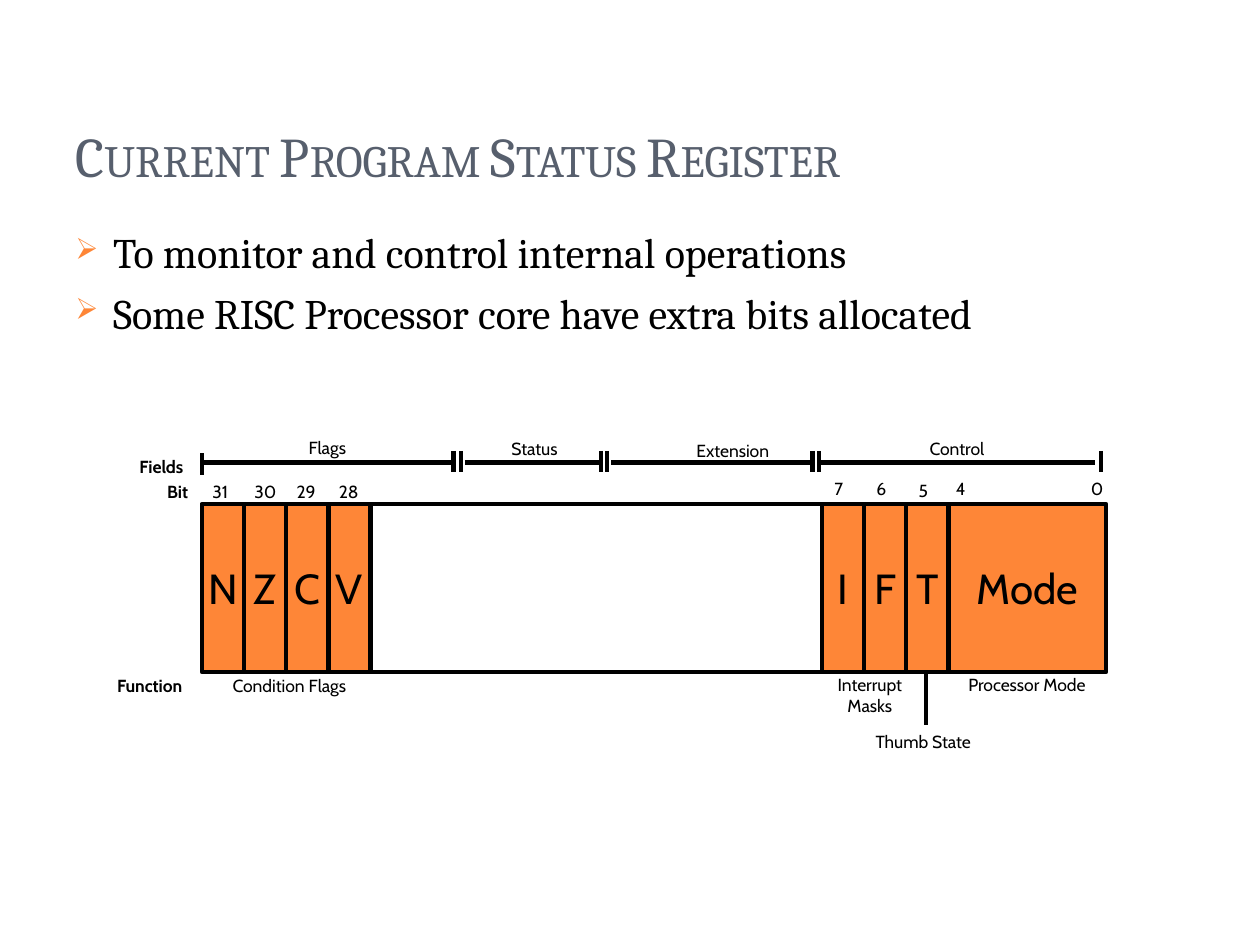
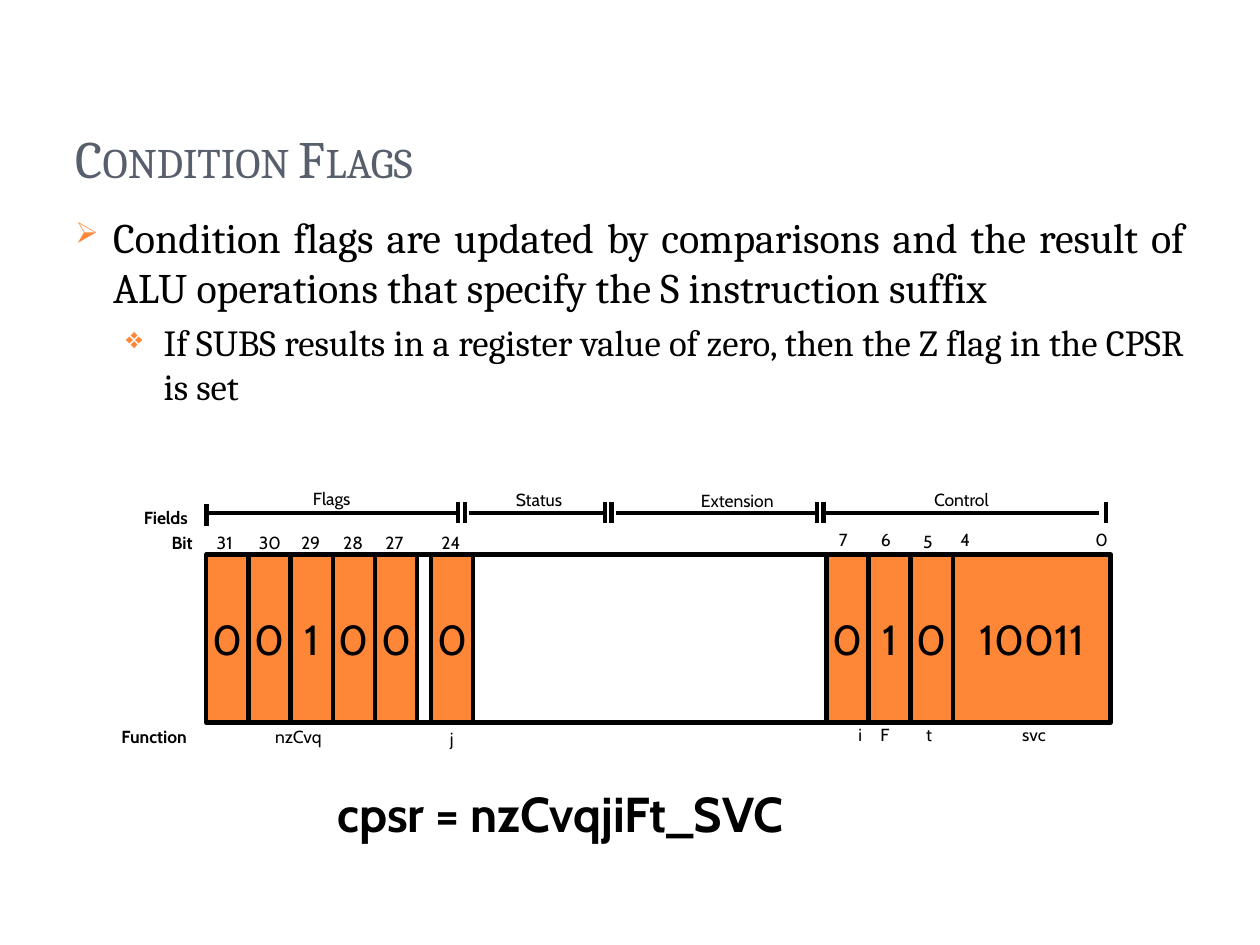
from lxml.etree import SubElement
from pptx import Presentation
from pptx.dml.color import RGBColor
from pptx.enum.shapes import MSO_CONNECTOR, MSO_SHAPE
from pptx.enum.text import MSO_ANCHOR, PP_ALIGN
from pptx.oxml.ns import qn
from pptx.util import Cm, Pt

ORANGE, SLATE, BLACK = "FE8637", "575F6D", "000000"
SERIF, SANS = "Cambria", "Cabin"
LEFT, CENTER, JUSTIFY = PP_ALIGN.LEFT, PP_ALIGN.CENTER, PP_ALIGN.JUSTIFY

# Register geometry in cm, measured from its top left corner
CELL, HEIGHT, MODE_WIDTH = 0.85, 3.39, 3.18
RESERVED_LEFT, CONTROL_LEFT = 4 * CELL, 12.5
RESERVED_WIDTH = CONTROL_LEFT - RESERVED_LEFT
MODE_LEFT = CONTROL_LEFT + 3 * CELL
LABEL_WIDTH = 2.97

# Field name, label left, label top, span start, span end
FIELDS = [
    ("Flags", 1.9, -1.47, 0, 5.07),
    ("Status", 5.99, -1.45, 5.3, 8.04),
    ("Extension", 9.72, -1.42, 8.25, 12.29),
    ("Control", 14.42, -1.45, 12.49, 18),
]
FIELD_TICKS = [5.07, 5.22, 8.04, 8.17, 12.31, 12.44, 18.13]
ROW_NAMES = [("Function", -1.96, 3.33), ("Bit", -0.95, -0.58), ("Fields", -1.51, -1.09)]
# Bit number, label left, label top
BITS = [(str(31 - i), i * CELL - 0.04, -0.58) for i in range(4)] + [
    ("7", CONTROL_LEFT, -0.64),
    ("6", CONTROL_LEFT + CELL, -0.64),
    ("5", CONTROL_LEFT + 2 * CELL, -0.61),
    ("4", MODE_LEFT - 0.1, -0.64),
    ("0", 17.67, -0.64),
]
# Bullet levels: sign, sign size %, indent, text size, space before
LEVELS = [("➢", 70, 0.76, 24, 6), ("❖", 80, 1.78, 21, 4.2)]


def color(hex_string):
    return RGBColor.from_string(hex_string)


class Deck:
    """Holds the style, the current slide and the point lengths start from."""

    def __init__(self):
        self.prs = Presentation()
        self.prs.slide_width, self.prs.slide_height = Cm(25.4), Cm(19.05)
        self.slide = None
        self.origin = (0, 0)

    def new_slide(self, title, size):
        self.slide = self.prs.slides.add_slide(self.prs.slide_layouts[6])
        self.origin = (0, 0)
        heading = self.text(title, 1.27, 0.76, 20.75, 3.18, size=size,
                            font=SERIF, ink=SLATE, anchor=MSO_ANCHOR.BOTTOM)
        heading.font._element.set("cap", "small")

    def at(self, x, y):
        return Cm(self.origin[0] + x), Cm(self.origin[1] + y)

    def frame(self, x, y, width, height, anchor=MSO_ANCHOR.TOP):
        box = self.slide.shapes.add_textbox(*self.at(x, y), Cm(width), Cm(height))
        box.text_frame.word_wrap = True
        box.text_frame.vertical_anchor = anchor
        return box.text_frame

    def run(self, paragraph, text, size, font=SANS, ink=BLACK, bold=False):
        run = paragraph.add_run()
        run.text = text
        run.font.size, run.font.name, run.font.bold = Pt(size), font, bold
        run.font.color.rgb = color(ink)
        return run

    def text(self, text, x, y, width=LABEL_WIDTH, height=0.69, size=10, font=SANS,
             ink=BLACK, bold=False, align=LEFT, anchor=MSO_ANCHOR.TOP):
        paragraph = self.frame(x, y, width, height, anchor).paragraphs[0]
        paragraph.alignment = align
        return self.run(paragraph, text, size, font, ink, bold)

    def bullets(self, items, y, width, height):
        body = self.frame(1.27, y, width, height)
        for index, (level, text) in enumerate(items):
            sign, percent, indent, size, space = LEVELS[level]
            paragraph = body.add_paragraph() if index else body.paragraphs[0]
            props = paragraph._p.get_or_add_pPr()
            props.set("marL", str(Cm(indent)))
            props.set("indent", str(-Cm(0.76)))
            tint = SubElement(props, qn("a:buClr"))
            SubElement(tint, qn("a:srgbClr")).set("val", ORANGE)
            SubElement(props, qn("a:buSzPct")).set("val", str(percent * 1000))
            SubElement(props, qn("a:buChar")).set("char", sign)
            paragraph.alignment = JUSTIFY
            if index:
                paragraph.space_before = Pt(space)
            self.run(paragraph, text, size, SERIF)

    def cell(self, x, width=CELL, value=None):
        box = self.slide.shapes.add_shape(
            MSO_SHAPE.RECTANGLE, *self.at(x, 0), Cm(width), Cm(HEIGHT))
        box.shadow.inherit = False
        box.line.color.rgb, box.line.width = color(BLACK), Pt(2.5)
        if value is None:
            box.fill.background()
            return
        box.fill.solid()
        box.fill.fore_color.rgb = color(ORANGE)
        box.text_frame.word_wrap = False
        box.text_frame.vertical_anchor = MSO_ANCHOR.MIDDLE
        paragraph = box.text_frame.paragraphs[0]
        paragraph.alignment = CENTER
        self.run(paragraph, value, 24)

    def line(self, x1, y1, x2, y2):
        rule = self.slide.shapes.add_connector(
            MSO_CONNECTOR.STRAIGHT, *self.at(x1, y1), *self.at(x2, y2))
        rule.line.color.rgb, rule.line.width = color(BLACK), Pt(2.5)
        SubElement(rule._element.spPr, qn("a:effectLst"))

    def register(self, origin, flags, control, mode, extra_bits=()):
        """Draws the status register; extra_bits holds (bit, left, value)."""
        self.origin = origin
        # Cells
        self.cell(RESERVED_LEFT, RESERVED_WIDTH)
        for i, value in enumerate(flags):
            self.cell(i * CELL, value=value)
        for i, value in enumerate(control):
            self.cell(CONTROL_LEFT + i * CELL, value=value)
        self.cell(MODE_LEFT, MODE_WIDTH, mode)
        # Bit numbers
        for bit, x, y in BITS:
            self.text(bit, x, y, 1.04)
        for bit, x, value in extra_bits:
            self.cell(x, value=value)
            self.text(bit, x - 0.04, -0.58, 1.04)
        # Field ruler
        self.line(0, -1.02, 0, -0.58)
        for x in FIELD_TICKS:
            self.line(x, -1.07, x, -0.64)
        for name, x, y, start, end in FIELDS:
            self.line(start, -0.84, end, -0.84)
            self.text(name, x, y)
        for name, x, y in ROW_NAMES:
            self.text(name, x, y, bold=True)


def main():
    deck = Deck()

    # Current program status register
    deck.new_slide("Current Program Status Register", 32)
    deck.bullets([
        (0, "To monitor and control internal operations"),
        (0, "Some RISC Processor core have extra bits allocated"),
    ], 4.45, 20.75, 13.54)
    deck.register((4.07, 10.16), "NZCV", "IFT", "Mode")
    deck.text("Condition Flags", 0.37, 3.33)
    deck.text("Processor Mode", 15.2, 3.3)
    deck.text("Interrupt Masks", 12.41, 3.3, 2.11, 1.09, align=CENTER)
    deck.text("Thumb State", 13.33, 4.45)
    deck.line(14.6, 3.4, 14.6, 4.45)

    # Condition flags
    deck.new_slide("Condition Flags", 30)
    deck.bullets([
        (0, "Condition flags are updated by comparisons and the result of "
            "ALU operations that specify the S instruction suffix"),
        (1, "If SUBS results in a register value of zero, then the Z flag "
            "in the CPSR is set"),
    ], 4.14, 22.86, 12.57)
    deck.register((4.16, 11.18), "0010", "010", "10011",
                  [("24", 4.53, "0"), ("27", RESERVED_LEFT, "0")])
    deck.text("nzCvq", 0.37, 3.33, align=CENTER)
    deck.text("j", 3.46, 3.38, align=CENTER)
    deck.text("i", 12.68, 3.3, 1, align=CENTER)
    deck.text("F", 13.18, 3.3, 1, align=CENTER)
    deck.text("t", 14.26, 3.3)
    deck.text("svc", 15.2, 3.3, align=CENTER)
    deck.origin = (0, 0)
    deck.text("cpsr = nzCvqjiFt_SVC", 6.55, 15.67, 15.24, 1.45, size=28, bold=True)

    deck.prs.save("out.pptx")


if __name__ == "__main__":
    main()
